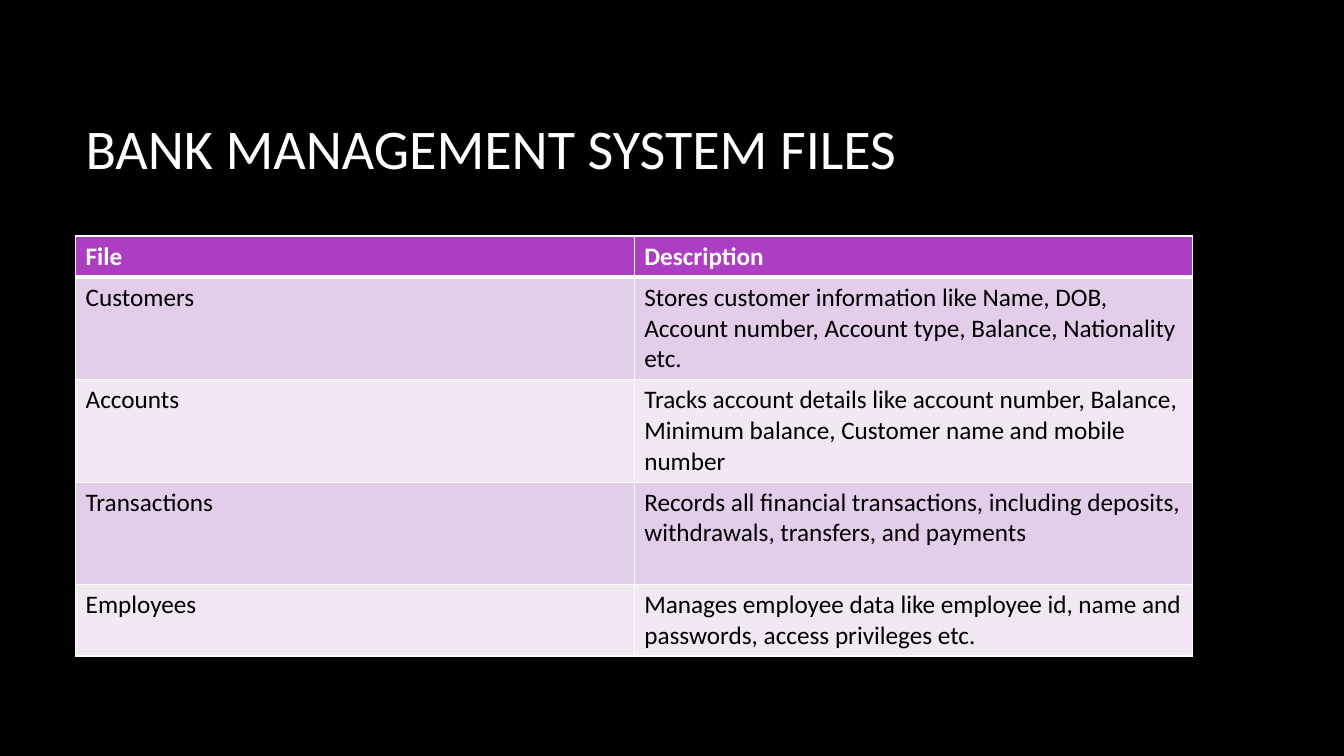
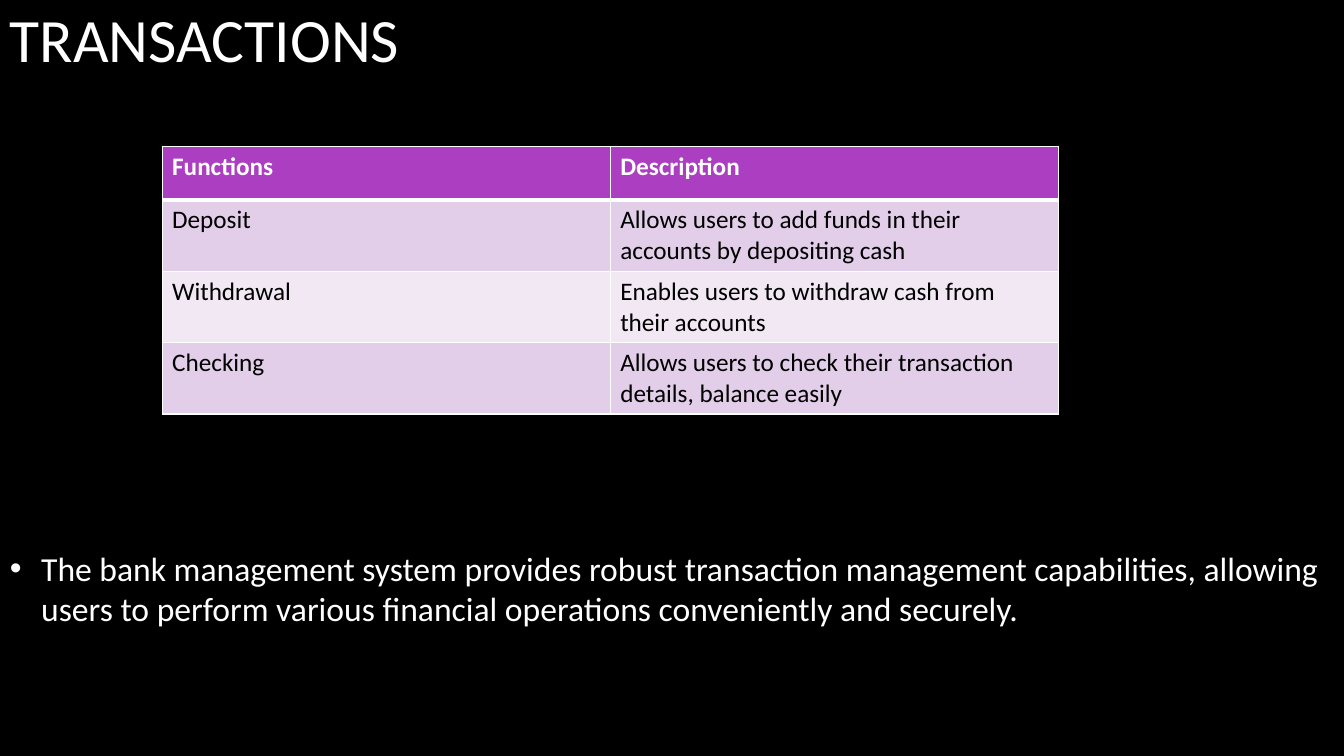
"""Build two slides on the files and transactions of a bank management system."""
import lxml.etree
import pptx
import pptx.dml.color
import pptx.enum.text
import pptx.oxml.ns
import pptx.util

COLORS = {"background": "000000", "light": "FFFFFF", "dark": "000000",
          "header": "AC3EC1", "odd": "E3CEE9", "even": "F1E8F4"}
FONT = "Calibri"
TITLE_INSETS = {"margin_top": 0, "margin_bottom": 0}
HANGING = pptx.util.Inches(0.31)

presentation = pptx.Presentation()
presentation.slide_width = pptx.util.Inches(13.33)
presentation.slide_height = pptx.util.Inches(7.5)
column = presentation.slide_width / 160
row = presentation.slide_height / 90

background = presentation.slide_master.background.fill
background.solid()
background.fore_color.rgb = pptx.dml.color.RGBColor.from_string(COLORS["background"])

slide_contents = [
    {"title": "BANK MANAGEMENT SYSTEM FILES", "title_size": 40, "title_box": (9, 8, 133, 19),
     "table_box": (9, 28.1, 133), "row_heights": [4.9, 12.2, 12.2, 12.2, 8.5],
     "cells": [
         ("File", "Description"),
         ("Customers", "Stores customer information like Name, DOB, Account number, "
                       "Account type, Balance, Nationality etc."),
         ("Accounts", "Tracks account details like account number, Balance, "
                      "Minimum balance, Customer name and mobile number"),
         ("Transactions", "Records all financial transactions, including deposits, "
                          "withdrawals, transfers, and payments"),
         ("Employees", "Manages employee data like employee id, name and passwords, "
                       "access privileges etc.")]},
    {"title": "TRANSACTIONS", "title_size": 44, "title_box": (0, 0, 138, 9),
     "table_box": (19.3, 17.4, 106.7), "row_heights": [6.4, 8.5, 8.5, 8.5],
     "cells": [
         ("Functions", "Description"),
         ("Deposit", "Allows users to add funds in their accounts by depositing cash"),
         ("Withdrawal", "Enables users to withdraw cash from their accounts"),
         ("Checking", "Allows users to check their transaction details, balance easily")],
     "bullet": "The bank management system provides robust transaction management "
               "capabilities, allowing users to perform various financial operations "
               "conveniently and securely."},
]


def write_text(text_frame, text, size, color, bold=False):
    """Fill a text frame with one formatted paragraph and return the paragraph."""
    text_frame.word_wrap = True
    paragraph = text_frame.paragraphs[0]
    run = paragraph.add_run()
    run.text = text
    for name, value in {"name": FONT, "size": pptx.util.Pt(size), "bold": bold}.items():
        setattr(run.font, name, value)
    run.font.color.rgb = pptx.dml.color.RGBColor.from_string(COLORS[color])
    return paragraph


def add_text(slide, box, text, size):
    """Add a light, vertically centred text box and return its paragraph."""
    left, top, width, height = box
    shape = slide.shapes.add_textbox(
        round(left * column), round(top * row), round(width * column), round(height * row))
    shape.text_frame.vertical_anchor = pptx.enum.text.MSO_ANCHOR.MIDDLE
    for name, value in TITLE_INSETS.items():
        setattr(shape.text_frame, name, value)
    return write_text(shape.text_frame, text, size, "light")


for content in slide_contents:
    slide = presentation.slides.add_slide(presentation.slide_layouts[6])
    add_text(slide, content["title_box"], content["title"], content["title_size"])

    if "bullet" in content:
        paragraph = add_text(slide, (0, 64, 159, 12), content["bullet"], 24)
        properties = paragraph._p.get_or_add_pPr()
        properties.set("marL", str(HANGING))
        properties.set("indent", str(-HANGING))
        for tag, name, value in (("a:buFont", "typeface", "Arial"), ("a:buChar", "char", "•")):
            lxml.etree.SubElement(properties, pptx.oxml.ns.qn(tag)).set(name, value)

    left, top, width = content["table_box"]
    heights = content["row_heights"]
    table = slide.shapes.add_table(
        len(heights), 2, round(left * column), round(top * row),
        round(width * column), round(sum(heights) * row)).table
    for row_index, (height, texts) in enumerate(zip(heights, content["cells"])):
        table.rows[row_index].height = round(height * row)
        is_header = row_index == 0
        fill_name = "header" if is_header else "odd" if row_index % 2 else "even"
        borders = {"L": 1, "R": 1, "T": 3 if row_index == 1 else 1, "B": 3 if is_header else 1}
        for column_index, text in enumerate(texts):
            cell = table.cell(row_index, column_index)
            properties = cell._tc.get_or_add_tcPr()
            for side, points in borders.items():
                line = lxml.etree.SubElement(properties, pptx.oxml.ns.qn("a:ln" + side))
                line.set("w", str(pptx.util.Pt(points)))
                line_fill = lxml.etree.SubElement(line, pptx.oxml.ns.qn("a:solidFill"))
                line_color = lxml.etree.SubElement(line_fill, pptx.oxml.ns.qn("a:srgbClr"))
                line_color.set("val", COLORS["light"])
            cell.fill.solid()
            cell.fill.fore_color.rgb = pptx.dml.color.RGBColor.from_string(COLORS[fill_name])
            write_text(cell.text_frame, text, 18, "light" if is_header else "dark", is_header)

presentation.save("out.pptx")
